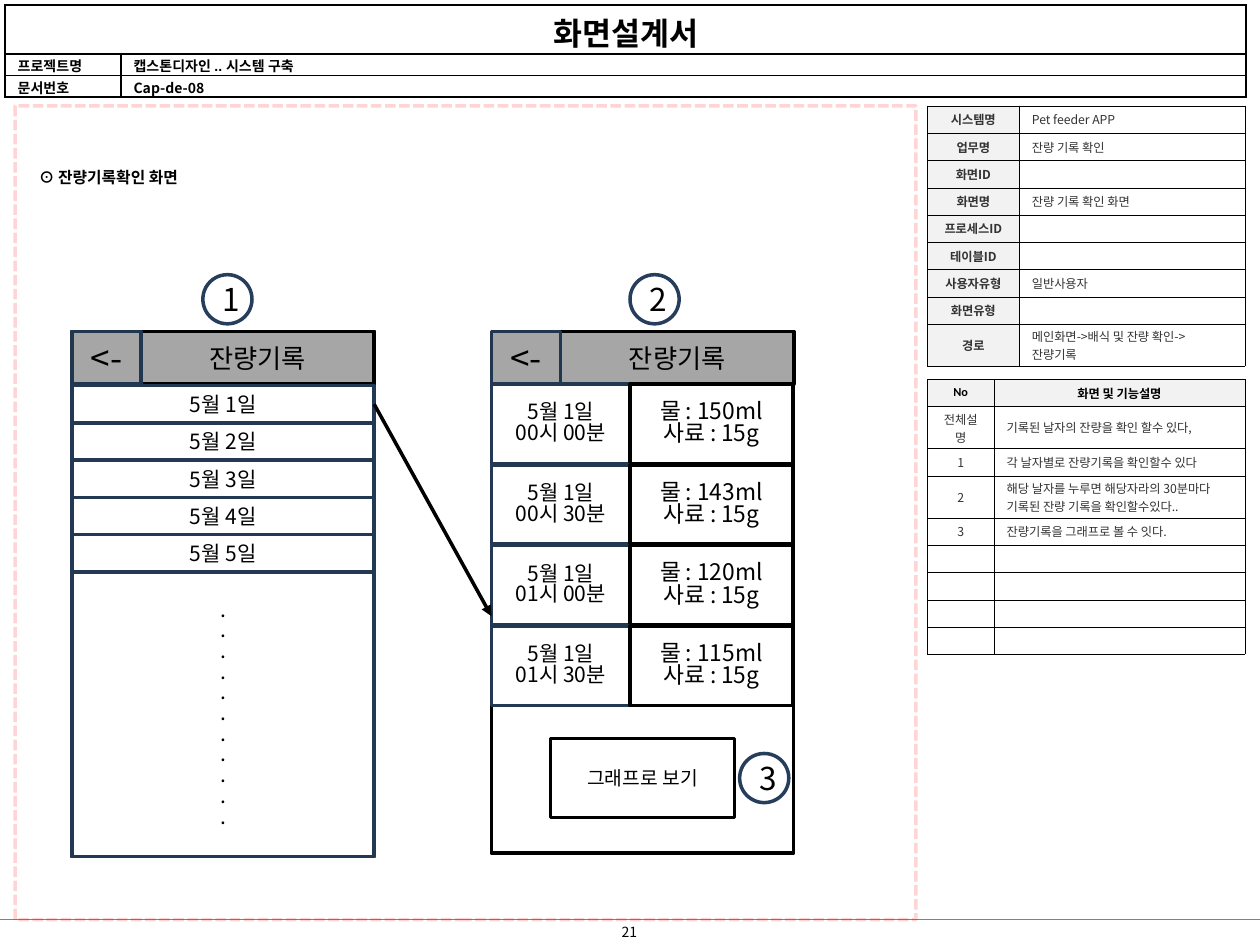
"""Build the screen design sheet for the leftover record screens."""
from lxml.etree import SubElement as Sub
from pptx import Presentation
from pptx.dml.color import RGBColor as Rgb
from pptx.enum.dml import MSO_LINE as Dash
from pptx.enum.shapes import MSO_CONNECTOR as Link, MSO_SHAPE as Kind
from pptx.enum.text import MSO_ANCHOR as Anchor, PP_ALIGN as Align
from pptx.oxml.ns import qn
from pptx.util import Inches, Pt

FONT = "Noto Sans CJK KR"
HEX = {"black": "000000", "white": "FFFFFF", "gray": "A6A6A6", "pale": "F2F2F2",
       "text": "333333", "rule": "808080", "navy": "233953", "back": "21364F",
       "ring": "263E5B", "red": "FF0000"}

HEAD = [("화면설계서", ""), ("프로젝트명", "캡스톤디자인 .. 시스템 구축"),
        ("문서번호", "Cap-de-08")]
INFO = [("시스템명", "Pet feeder APP"), ("업무명", "잔량 기록 확인"), ("화면ID", ""),
        ("화면명", "잔량 기록 확인 화면"), ("프로세스ID", ""), ("테이블ID", ""),
        ("사용자유형", "일반사용자"), ("화면유형", ""),
        ("경로", "메인화면->배식 및 잔량 확인->\n잔량기록")]
NOTES = [("No", "화면 및 기능설명"), ("전체설명", "기록된 날자의 잔량을 확인 할수 있다,"),
         ("1", "각 날자별로 잔량기록을 확인할수 있다"),
         ("2", "해당 날자를 누루면 해당자라의 30분마다 기록된 잔량 기록을 확인할수있다.."),
         ("3", "잔량기록을 그래프로 볼 수 잇다.")] + [("", "")] * 4
DAYS = ["5월 1일", "5월 2일", "5월 3일", "5월 4일", "5월 5일"]
LOGS = [("00시 00분", "150ml"), ("00시 30분", "143ml"),
        ("01시 00분", "120ml"), ("01시 30분", "115ml")]
MARKS = [("1", 1.61, 2.18), ("2", 5, 2.18), ("3", 5.87, 5.98)]
LEFT, RIGHT, WIDE, TOP = 0.57, 3.9, 2.4, 2.63
LINE = 0.65 / 3

deck = Presentation()
deck.slide_width, deck.slide_height = Inches(10), Inches(7.5)
slide = deck.slides.add_slide(deck.slide_layouts[6])
shapes = slide.shapes


def tint(name):
    return Rgb.from_string(HEX[name])


def write(frame, text, size=12, color="black", bold=False, align=Align.CENTER,
          font=FONT, space=None):
    frame.word_wrap = True
    for i, part in enumerate(text.split("\n")):
        para = frame.add_paragraph() if i else frame.paragraphs[0]
        para.alignment = align
        if space:
            para.line_spacing = space
        if not part:
            para._p.get_or_add_endParaRPr().set("sz", str(size * 100))
            continue
        run = para.add_run()
        run.text = part
        run.font.size, run.font.bold, run.font.name = Pt(size), bold, font
        run.font.color.rgb = tint(color)
        Sub(run._r.rPr, qn("a:ea"), typeface=FONT)


def box(at, text="", fill="white", line="black", kind=Kind.RECTANGLE, **form):
    item = shapes.add_shape(kind, *map(Inches, at))
    item.shadow.inherit = False
    if fill:
        item.fill.solid()
        item.fill.fore_color.rgb = tint(fill)
    else:
        item.fill.background()
    item.line.color.rgb = tint(line)
    item.line.width = Pt(2)
    item.text_frame.vertical_anchor = Anchor.MIDDLE
    if text:
        write(item.text_frame, text, **form)
    return item


def label(at, text, **form):
    write(shapes.add_textbox(*map(Inches, at)).text_frame, text, **form)


def wire(x1, y1, x2, y2, color, width):
    item = shapes.add_connector(Link.STRAIGHT, *map(Inches, (x1, y1, x2, y2)))
    item.line.color.rgb = tint(color)
    item.line.width = Pt(width)
    Sub(item._element.spPr, qn("a:effectLst"))
    return item


def grid(left, top, cols, tall, rows, style, edge, pad, anchor):
    item = shapes.add_table(len(rows), len(cols), *map(
        Inches, (left, top, sum(cols), sum(tall)))).table
    item.first_row = item.horz_banding = False
    for col, width in zip(item.columns, cols):
        col.width = Inches(width)
    for r, row in enumerate(rows):
        item.rows[r].height = Inches(tall[r])
        for c, text in enumerate(row):
            cell = item.cell(r, c)
            cell.margin_top, cell.margin_bottom = Inches(pad), Inches(0)
            if anchor == Anchor.MIDDLE:
                cell.margin_bottom = Inches(pad)
            cell.vertical_anchor = anchor
            prop = cell._tc.get_or_add_tcPr()
            for side in "LRTB":
                ln = Sub(prop, qn("a:ln" + side), w=str(Pt(edge)))
                Sub(Sub(ln, qn("a:solidFill")), qn("a:srgbClr"), val=HEX["black"])
            fill, form = style(r, c)
            cell.fill.solid()
            cell.fill.fore_color.rgb = tint(fill)
            write(cell.text_frame, text, **form)
    return item


def head_style(r, c):
    if r == 0:
        return "white", dict(size=18, bold=True)
    return "white", dict(size=8, bold=True, align=Align.LEFT,
                         font=FONT if (r, c) == (2, 1) else "Arial")


def info_style(r, c):
    return ("white" if c else "pale"), dict(
        size=7, color="text", bold=not c, align=Align.LEFT if c else Align.CENTER)


def note_style(r, c):
    if r == 0:
        return "pale", dict(size=7, bold=True, font="Arial" if c else "Calibri")
    return "white", dict(size=7, color="text", align=Align.LEFT if c else Align.CENTER)


def bar(left):
    box((left + 0.55, TOP, WIDE - 0.55, 0.42), "잔량기록", fill="gray", size=15)
    box((left, TOP, 0.55, 0.42), "<-", fill="gray", line="back", size=20)


wire(0, 7.3, 10, 7.3, "rule", 0.75)
label((4.72, 7.28, 0.55, 0.24), "21", size=8)
head = grid(0.04, 0.04, (0.92, 8.93), (0.39, 0.17, 0.17), HEAD, head_style, 1, 0.01,
            Anchor.BOTTOM)
head.cell(0, 0).merge(head.cell(0, 1))
area = box((0.12, 0.84, 7.15, 6.46), fill=None, line="red")
area.line.dash_style = Dash.SQUARE_DOT
Sub(area.line._ln.find(".//" + qn("a:srgbClr")), qn("a:alpha"), val="16000")
label((0.21, 1.28, 3.78, 0.25), "⊙ 잔량기록확인 화면", size=9, bold=True, align=Align.LEFT)

box((LEFT, TOP, WIDE, 4.17))
bar(LEFT)
step = (4.54 - 3.06) / len(DAYS)
days = [box((LEFT, 3.06 + i * step, WIDE, step), day, line="navy")
        for i, day in enumerate(DAYS)]
box((LEFT, 4.54, WIDE, 2.26), "\n".join("." * 11), line="navy", space=0.82)

box((RIGHT, 3.02, WIDE, 3.75))
bar(RIGHT)
for i, (time, water) in enumerate(LOGS):
    y = 3.05 + i * 0.64
    box((RIGHT, y, 1.1, 0.63), "5월 1일\n" + time, line="navy", space=0.82)
    box((RIGHT + 1.1, y, 1.29, 0.63), f"물 : {water}\n사료 : 15g", size=13, space=0.82)
box((4.37, 5.86, 1.46, 0.63), "그래프로 보기", size=11)

arrow = wire(LEFT + WIDE, 3.21, RIGHT, 4.89, "black", 2)
arrow.begin_connect(days[0], 3)
Sub(arrow.line._ln, qn("a:tailEnd"), type="triangle")

for mark, x, y in MARKS:
    box((x, y, 0.39, 0.39), mark, line="ring", kind=Kind.OVAL, size=18)

grid(7.36, 3.01, (0.53, 1.99), [LINE * 1.54 if i in (1, 3) else LINE for i in range(9)],
     NOTES, note_style, 0.25, 0.03, Anchor.MIDDLE)
grid(7.36, 0.84, (0.73, 1.79), [LINE] * 8 + [LINE * 1.54], INFO, info_style, 0.25, 0.03,
     Anchor.MIDDLE)
deck.save("out.pptx")
